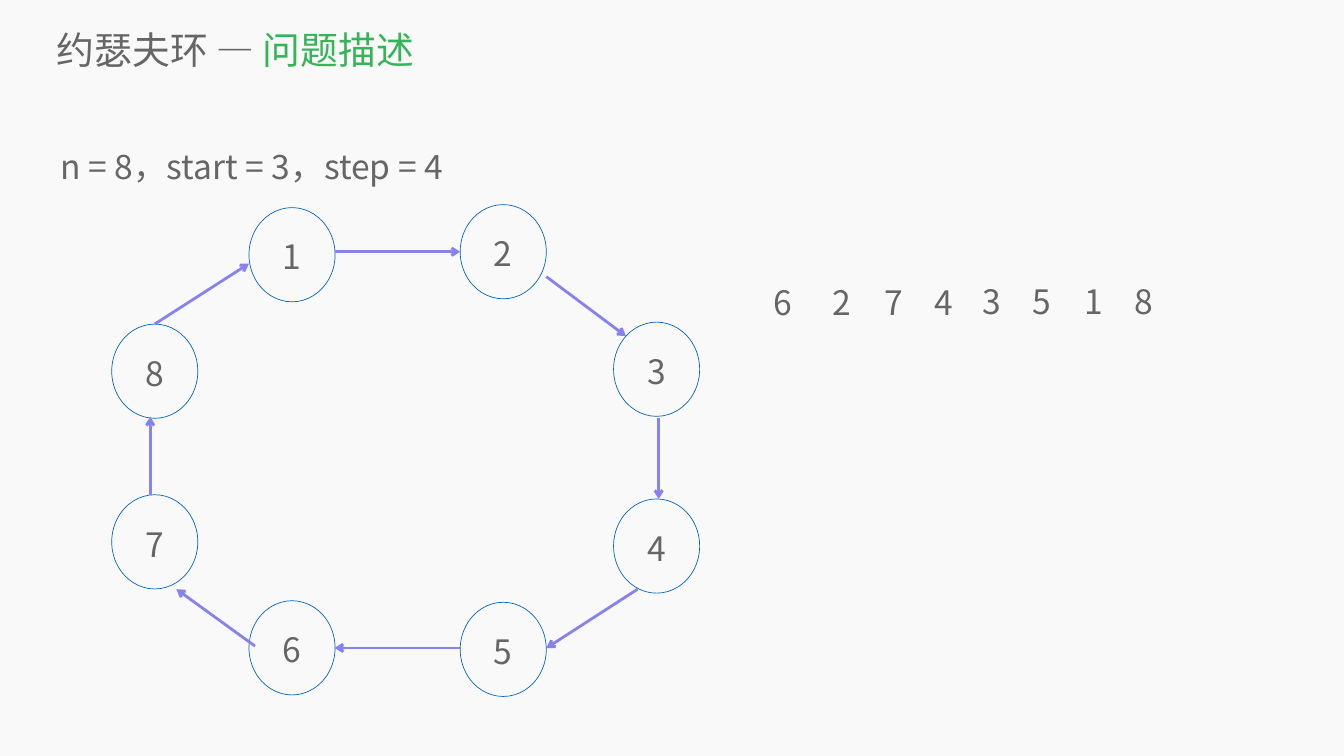
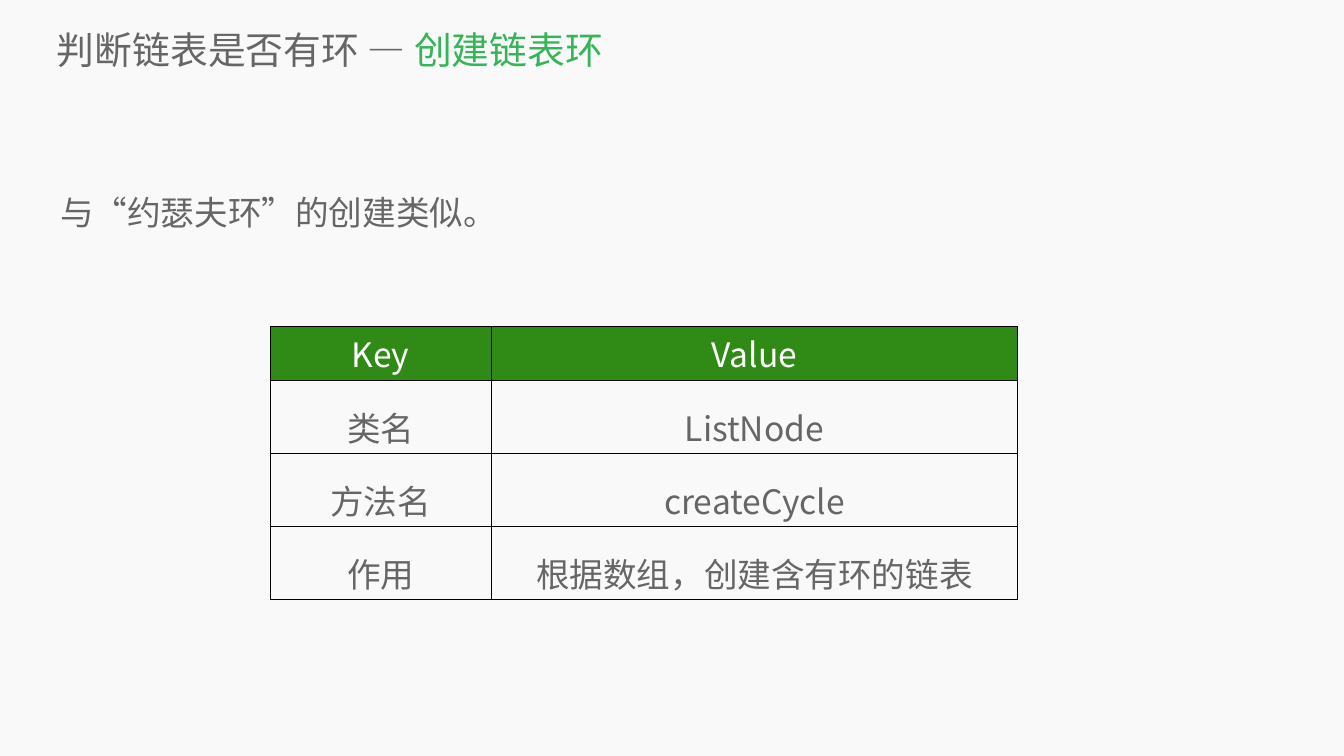
from lxml import etree
from pptx import Presentation
from pptx.dml.color import RGBColor
from pptx.enum import shapes, text
from pptx.oxml import parse_xml
from pptx.oxml.ns import nsdecls, qn
from pptx.util import Pt

COLORS = {
    "background": "F9F9F9", "ink": "666666", "accent": "35B558",
    "ring": "0065C1", "arrow": "8881F0", "header": "308B16",
    "white": "FFFFFF", "border": "000000",
}
FONT = "Noto Sans CJK SC"
BODY_SIZE = 48
NODE_W, NODE_H = 123, 134.6
CENTER = text.PP_ALIGN.CENTER

# Left and top of each numbered node
NODES = {
    1: (355.7, 296.6), 2: (657.4, 292.3), 3: (876.5, 460.2), 4: (876.5, 712.8),
    5: (657.4, 860.4), 6: (355.7, 858.2), 7: (159.6, 706.8), 8: (159.6, 463),
}
# Start and end of each arrow around the ring
ARROWS = [
    (478, 359.7, 657.4, 359.7), (780.5, 395.3, 894.2, 480.2),
    (941, 596.9, 941, 712.8), (910.8, 841.7, 780.5, 925.9),
    (656.6, 925.6, 478, 925.6), (364.3, 923, 252, 841.7),
    (214.6, 707, 214.6, 595.4), (221, 463, 355.7, 376.6),
]
# Digit, left and top in the order of removal
REMOVED = [
    ("6", 1098.3, 399.6), ("2", 1182.2, 399.6), ("7", 1256.4, 399.6),
    ("4", 1328.4, 399.6), ("3", 1396, 397.4), ("5", 1468, 397.4),
    ("1", 1542.2, 397.4), ("8", 1614.2, 397.4),
]
METHOD_ROWS = [
    ("Key", "Value"), ("类名", "ListNode"), ("方法名", "createCycle"),
    ("作用", "根据数组，创建含有环的链表"),
]


def rgb(name):
    return RGBColor.from_string(COLORS[name])


def set_format(target, **values):
    for name, value in values.items():
        setattr(target, name, value)


def add_run(p, words, color="ink", size=BODY_SIZE):
    r = p.add_run()
    r.text = words
    set_format(r.font, name=FONT, size=Pt(size))
    r.font.color.rgb = rgb(color)
    etree.SubElement(r.font._element, qn("a:ea")).set("typeface", FONT)


def add_text(container, box, runs, size=BODY_SIZE, inset=True, frame=None, **paragraph):
    """Add a wrapped text box; runs are pairs of words and colour name."""
    tf = container.add_textbox(*map(Pt, box)).text_frame
    set_format(tf, word_wrap=True, **(frame or {}))
    if not inset:
        set_format(tf, margin_left=0, margin_right=0, margin_top=0, margin_bottom=0)
    p = tf.paragraphs[0]
    set_format(p, **paragraph)
    for words, color in runs:
        add_run(p, words, color, size)


def add_digit(container, box, digit, **paragraph):
    frame = {"auto_size": text.MSO_AUTO_SIZE.SHAPE_TO_FIT_TEXT}
    add_text(container, box, [(digit, "ink")], frame=frame, **paragraph)


def add_page(prs, topic, part, body, body_top):
    """Start a slide with the shared background, title and body line."""
    s = prs.slides.add_slide(prs.slide_layouts[6])
    s.background.fill.solid()
    s.background.fill.fore_color.rgb = rgb("background")
    add_text(s.shapes, (81.4, 33.8, 1811.5, 73.4),
             [(f"{topic} — ", "ink"), (part, "accent")], size=54, inset=False,
             frame={"vertical_anchor": text.MSO_ANCHOR.MIDDLE})
    add_text(s.shapes, (86, body_top, 1748, 809.3), [(body, "ink")],
             inset=False, line_spacing=1.4)
    return s


def add_node(s, number, left, top):
    group = s.shapes.add_group_shape().shapes
    sp = group.add_shape(shapes.MSO_SHAPE.OVAL, Pt(left), Pt(top), Pt(NODE_W), Pt(NODE_H))
    sp.shadow.inherit = False
    sp.fill.background()
    sp.line.color.rgb = rgb("ring")
    sp.line.width = Pt(1)
    add_digit(group, (left + 30.6, top + 37.4, 61.2, 65.5), str(number), alignment=CENTER)


def add_arrow(s, ends):
    line = s.shapes.add_connector(shapes.MSO_CONNECTOR.STRAIGHT, *map(Pt, ends))
    line.line.color.rgb = rgb("arrow")
    line.line.width = Pt(4)
    etree.SubElement(line.line._get_or_add_ln(), qn("a:tailEnd")).set("type", "arrow")
    etree.SubElement(line._element.spPr, qn("a:effectLst"))


def add_borders(cell):
    tcPr = cell._tc.get_or_add_tcPr()
    for i, side in enumerate(("lnL", "lnR", "lnT", "lnB")):
        tcPr.insert(i, parse_xml(
            f'<a:{side} {nsdecls("a")} w="{Pt(1)}"><a:solidFill>'
            f'<a:srgbClr val="{COLORS["border"]}"/></a:solidFill></a:{side}>'))


def add_method_table(s, rows):
    widths, heights = (315.6, 752.4), (77, 104.4, 104.4, 104.4)
    table = s.shapes.add_table(len(rows), len(widths), Pt(386), Pt(466.4),
                               Pt(sum(widths)), Pt(sum(heights))).table
    set_format(table, first_row=False, horz_banding=False)
    for column, width in zip(table.columns, widths):
        column.width = Pt(width)
    for i, (row, height) in enumerate(zip(table.rows, heights)):
        row.height = Pt(height)
        for cell, words in zip(row.cells, rows[i]):
            p = cell.text_frame.paragraphs[0]
            p.alignment = CENTER
            if i == 0:
                cell.fill.solid()
                cell.fill.fore_color.rgb = rgb("header")
            else:
                cell.fill.background()
                p.line_spacing = 1.4
            add_run(p, words, "ink" if i else "white")
            add_borders(cell)


def main():
    prs = Presentation()
    set_format(prs, slide_width=Pt(1920), slide_height=Pt(1080))

    # Josephus ring and its order of removal
    s = add_page(prs, "约瑟夫环", "问题描述", "n = 8，start = 3，step = 4", 185.8)
    for number, (left, top) in NODES.items():
        add_node(s, number, left, top)
    for ends in ARROWS:
        add_arrow(s, ends)
    for digit, left, top in REMOVED:
        add_digit(s.shapes, (left, top, 44, 65.5), digit)

    # Creating a linked list with a cycle
    s = add_page(prs, "判断链表是否有环", "创建链表环", "与“约瑟夫环”的创建类似。", 251.3)
    add_method_table(s, METHOD_ROWS)

    prs.save("out.pptx")


if __name__ == "__main__":
    main()
